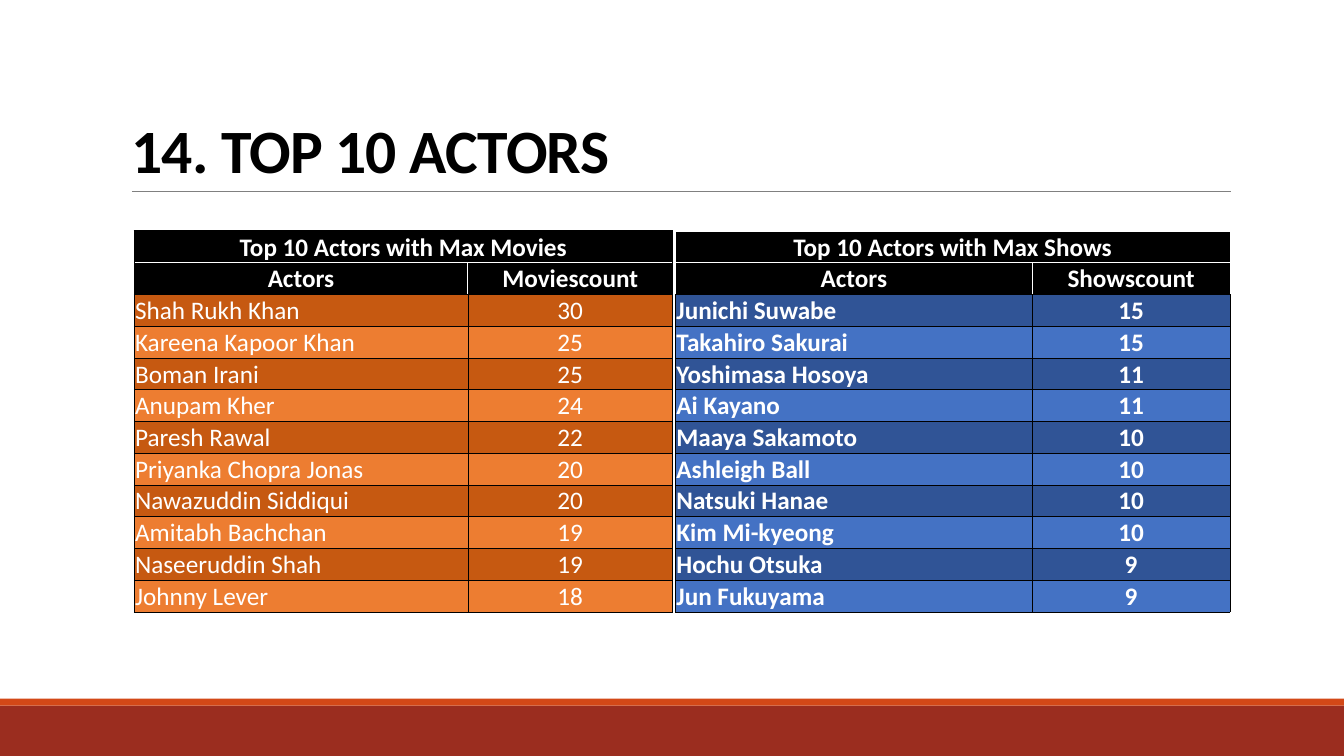
from dataclasses import dataclass

import pptx
import pptx.dml.color
import pptx.enum.shapes
import pptx.enum.text
import pptx.oxml
import pptx.util
from lxml import etree
from pptx.oxml.ns import qn

Pt = pptx.util.Pt
Align = pptx.enum.text.PP_ALIGN
Anchor = pptx.enum.text.MSO_ANCHOR
BLACK, WHITE = "000000", "FFFFFF"
FONT = "Calibri"
ROW = 22.25
Edge = tuple[str, float]
THIN: Edge = (BLACK, 0.5)
RULE: Edge = (WHITE, 1)


@dataclass
class Board:
    left: float
    widths: tuple[float, float]
    title: str
    count: str
    shades: tuple[str, str]
    bold: bool
    rim: Edge
    side: Edge
    rows: list[tuple[str, int]]


@dataclass
class Bar:
    top: float
    height: float
    fill: str


BARS = [Bar(504, 36, "9B2D1F"), Bar(499, 5, "D34817")]

BOARDS = [
    Board(95.8, (238.4, 146.2), "Top 10 Actors with Max Movies", "Moviescount",
          ("C65911", "ED7D31"), False, (BLACK, 1), THIN,
          [("Shah Rukh Khan", 30), ("Kareena Kapoor Khan", 25),
           ("Boman Irani", 25), ("Anupam Kher", 24), ("Paresh Rawal", 22),
           ("Priyanka Chopra Jonas", 20), ("Nawazuddin Siddiqui", 20),
           ("Amitabh Bachchan", 19), ("Naseeruddin Shah", 19),
           ("Johnny Lever", 18)]),
    Board(482.5, (254.9, 141.1), "Top 10 Actors with Max Shows", "Showscount",
          ("305496", "4472C4"), True, (WHITE, 0.5), (WHITE, 0.5),
          [("Junichi Suwabe", 15), ("Takahiro Sakurai", 15),
           ("Yoshimasa Hosoya", 11), ("Ai Kayano", 11),
           ("Maaya Sakamoto", 10), ("Ashleigh Ball", 10),
           ("Natsuki Hanae", 10), ("Kim Mi-kyeong", 10),
           ("Hochu Otsuka", 9), ("Jun Fukuyama", 9)]),
]


def paint(target, shade: str) -> None:
    """Give a fill or a line format a solid colour."""
    fill = getattr(target, "fill", target)
    fill.solid()
    fill.fore_color.rgb = pptx.dml.color.RGBColor.from_string(shade)


def style(para, size: float, shade: str, bold: bool, align) -> None:
    para.alignment = align
    para.font.name = FONT
    para.font.size = Pt(size)
    para.font.bold = bold
    paint(para.font, shade)


def border(cell, edges: tuple[Edge, Edge, Edge, Edge]) -> None:
    """Draw the left, right, top and bottom edges of a cell."""
    props = cell._tc.get_or_add_tcPr()
    for name, (shade, width) in zip(("lnL", "lnR", "lnT", "lnB"), edges):
        line = etree.SubElement(props, qn(f"a:{name}"), w=str(Pt(width)))
        solid = etree.SubElement(line, qn("a:solidFill"))
        etree.SubElement(solid, qn("a:srgbClr"), val=shade)


def write(cell, text: str, shade: str, bold: bool, align, edges) -> None:
    border(cell, edges)
    paint(cell, shade)
    cell.vertical_anchor = Anchor.BOTTOM
    cell.margin_left = cell.margin_right = cell.margin_top = Pt(0.7)
    cell.margin_bottom = Pt(0)
    cell.text = text
    style(cell.text_frame.paragraphs[0], 18, WHITE, bold, align)


def add_bar(slide, bar: Bar) -> None:
    shape = slide.shapes.add_shape(pptx.enum.shapes.MSO_SHAPE.RECTANGLE,
                                   Pt(0), Pt(bar.top), Pt(960), Pt(bar.height))
    shape.shadow.inherit = False
    paint(shape, bar.fill)
    shape.line.fill.background()


def add_rule(slide) -> None:
    line = slide.shapes.add_connector(
        pptx.enum.shapes.MSO_CONNECTOR.STRAIGHT,
        Pt(94.3), Pt(136.8), Pt(879), Pt(136.8))
    line.line.width = Pt(0.5)
    paint(line.line, "808080")
    etree.SubElement(line._element.spPr, qn("a:effectLst"))


def add_title(slide, text: str) -> None:
    title = slide.shapes.title
    title.left, title.top = Pt(86.4), Pt(22.4)
    title.width, title.height = Pt(792), Pt(114.4)
    frame = title.text_frame
    frame.text = text
    frame.word_wrap = True
    frame.auto_size = pptx.enum.text.MSO_AUTO_SIZE.NONE
    frame.vertical_anchor = Anchor.BOTTOM
    para = frame.paragraphs[0]
    style(para, 44, BLACK, True, Align.LEFT)
    para.line_spacing = 0.85
    para.runs[0]._r.get_or_add_rPr().set("spc", "-50")


def add_board(slide, board: Board) -> None:
    total = len(board.rows) + 2
    table = slide.shapes.add_table(total, 2, Pt(board.left), Pt(165),
                                   Pt(sum(board.widths)), Pt(ROW * total)).table
    table.first_row = table.horz_banding = False
    for col, width in zip(table.columns, board.widths):
        col.width = Pt(width)
    for row in table.rows:
        row.height = Pt(ROW)

    # Heading across both columns
    rim, side = board.rim, board.side
    for col, text in enumerate((board.title, "")):
        write(table.cell(0, col), text, BLACK, True, Align.CENTER,
              (rim, rim, rim, RULE))
    table.cell(0, 0).merge(table.cell(0, 1))

    # Column names
    write(table.cell(1, 0), "Actors", BLACK, True, Align.CENTER,
          (side, RULE, RULE, THIN))
    write(table.cell(1, 1), board.count, BLACK, True, Align.CENTER,
          (RULE, side, RULE, THIN))

    # Ranking in alternating shades
    for num, (actor, count) in enumerate(board.rows):
        for col, (text, align) in enumerate(((actor, Align.LEFT),
                                             (str(count), Align.CENTER))):
            write(table.cell(num + 2, col), text, board.shades[num % 2],
                  board.bold, align, (THIN,) * 4)


def main() -> None:
    deck = pptx.Presentation()
    deck.slide_width, deck.slide_height = Pt(960), Pt(540)
    slide = deck.slides.add_slide(deck.slide_layouts[5])
    for bar in BARS:
        add_bar(slide, bar)
    add_rule(slide)
    add_title(slide, "14. TOP 10 ACTORS")
    for board in BOARDS:
        add_board(slide, board)
    deck.save("out.pptx")


if __name__ == "__main__":
    main()
